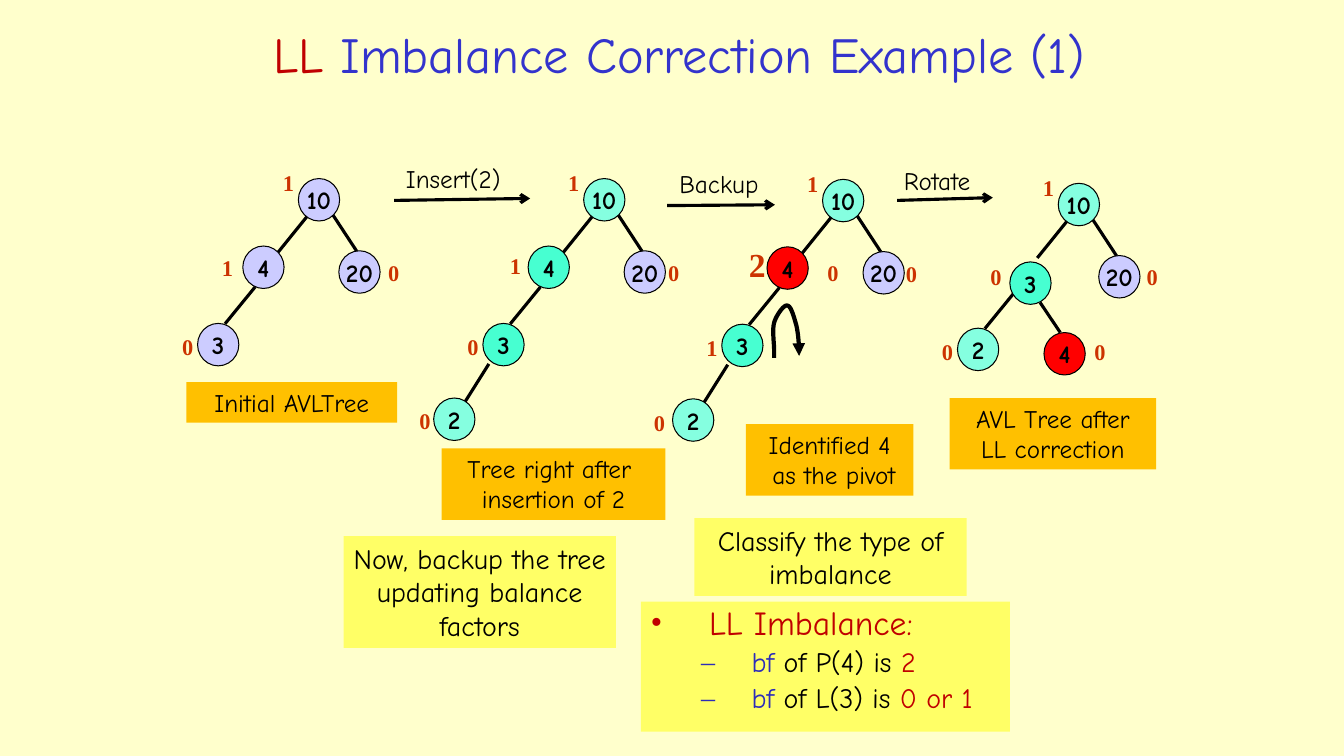
from dataclasses import dataclass

from lxml import etree
from pptx import Presentation
from pptx.dml.color import RGBColor
from pptx.enum import shapes, text
from pptx.oxml import ns
from pptx.util import Cm, Pt

COLORS = {
    "paper": "FFFFCC", "title": "3333CC", "accent": "C00000", "bf": "2D2DB9",
    "black": "000000", "balance": "CC3300", "caption": "FFC000", "note": "FFFF66",
    "plain": "CCCCFF", "light": "85FFE0", "teal": "47FFD1", "pivot": "FF0000",
}
HAND, SERIF = "Comic Neue", "Times New Roman"
NODE_W, NODE_H = 1.04, 1.07
LABEL_W, LABEL_H = 0.79, 0.94

# Node places and edges, in cm from the root's top left corner
PLACES = {
    "root": (0, 0), "left": (-1.4, 1.7), "right": (1.02, 1.82),
    "left2": (-2.54, 3.65), "left3": (-3.78, 5.53),
    "new left": (-1.22, 1.98), "inner": (-0.36, 3.76),
}
LEFT_EDGE = (0.23, 0.94, -0.53, 1.88)
EDGES = {
    "left": LEFT_EDGE, "new left": LEFT_EDGE, "right": (0.86, 0.9, 1.47, 1.83),
    "left2": (-1.09, 2.73, -1.85, 3.66), "left3": (-2.39, 4.67, -3, 5.64),
    "inner": (-0.46, 3, 0.05, 3.76),
}


@dataclass
class Node:
    key: str
    place: str
    fill: str
    balance: str
    label: tuple[float, float]  # from the root, like PLACES
    label_size: int = 16


@dataclass
class Tree:
    x: float
    y: float
    nodes: list[Node]


@dataclass
class Box:
    x: float
    y: float
    w: float
    h: float
    fill: str
    size: int
    lines: list[str]


@dataclass
class Step:
    name: str
    x: float
    y: float
    w: float
    arrow: tuple[float, float, float, float]


ROOT_LABEL, LOW_LABEL = (-0.64, -0.35), (-3.18, 3.77)
TREES = [
    Tree(7.52, 4.5, [
        Node("10", "root", "plain", "1", ROOT_LABEL),
        Node("4", "left", "plain", "1", (-2.18, 1.78)),
        Node("20", "right", "plain", "0", (2.01, 1.9)),
        Node("3", "left2", "plain", "0", LOW_LABEL)]),
    Tree(14.71, 4.5, [
        Node("10", "root", "light", "1", ROOT_LABEL),
        Node("4", "left", "teal", "1", (-2.11, 1.73)),
        Node("20", "right", "plain", "0", (1.88, 1.9)),
        Node("3", "left2", "teal", "0", LOW_LABEL),
        Node("2", "left3", "light", "0", (-4.39, 5.64))]),
    Tree(20.73, 4.52, [
        Node("10", "root", "light", "1", ROOT_LABEL),
        Node("4", "left", "pivot", "2", (-2.11, 1.5), 24),
        Node("20", "right", "plain", "0", (1.85, 1.9)),
        Node("3", "left2", "teal", "1", LOW_LABEL),
        Node("2", "left3", "light", "0", (-4.5, 5.66))]),
    Tree(26.67, 4.62, [
        Node("10", "root", "light", "1", ROOT_LABEL),
        Node("3", "new left", "teal", "0", (-1.96, 1.88)),
        Node("20", "right", "plain", "0", (1.98, 1.88)),
        Node("2", "left2", "light", "0", LOW_LABEL),
        Node("4", "inner", "pivot", "0", (0.66, 3.78))]),
]
BOXES = [
    Box(4.7, 9.63, 5.31, 1.02, "caption", 18, ["Initial AVLTree"]),
    Box(11.13, 11.3, 5.64, 1.8, "caption", 18, ["Tree right after ", "insertion of 2"]),
    Box(18.8, 10.69, 4.22, 1.8, "caption", 18, ["Identified 4", " as the pivot"]),
    Box(23.93, 10.03, 5.21, 1.8, "caption", 18, ["AVL Tree after", "LL correction"]),
    Box(8.66, 13.51, 6.86, 2.82, "note", 20,
        ["Now, backup the tree updating balance factors"]),
    Box(17.5, 13.06, 6.86, 1.96, "note", 20, ["Classify the type of imbalance"]),
]
STEPS = [
    Step("Insert(2)", 9.98, 3.99, 3.33, (9.93, 5.05, 13.36, 5)),
    Step("Backup", 16.87, 4.11, 2.62, (16.81, 5.18, 19.53, 5.16)),
    Step("Rotate", 22.53, 4.04, 2.59, (22.61, 5.05, 25.02, 4.98)),
]


def rgb(name: str) -> RGBColor:
    return RGBColor.from_string(COLORS[name])


def add_run(p, words: str, size: int, color: str = "black", font: str = HAND,
            bold: bool = False) -> None:
    r = p.add_run()
    r.text = words
    r.font.size, r.font.name, r.font.bold = Pt(size), font, bold
    r.font.color.rgb = rgb(color)


def add_filled(s, kind, x: float, y: float, w: float, h: float, fill: str):
    sp = s.shapes.add_shape(kind, Cm(x), Cm(y), Cm(w), Cm(h))
    sp.shadow.inherit = False
    sp.fill.solid()
    sp.fill.fore_color.rgb = rgb(fill)
    sp.line.fill.background()
    return sp


def add_label(s, x: float, y: float, w: float, h: float, words: str, size: int,
              **style) -> None:
    tf = s.shapes.add_textbox(Cm(x), Cm(y), Cm(w), Cm(h)).text_frame
    tf.word_wrap = False
    tf.auto_size = text.MSO_AUTO_SIZE.SHAPE_TO_FIT_TEXT
    add_run(tf.paragraphs[0], words, size, **style)


def add_balance(s, x: float, y: float, value: str, size: int = 16) -> None:
    add_label(s, x, y, LABEL_W * size / 16, LABEL_H * size / 16, value, size,
              color="balance", font=SERIF, bold=True)


def set_stroke(sp, width: float, head: str = "") -> None:
    """Draw a black outline that may end in an arrowhead."""
    sp.line.color.rgb = rgb("black")
    sp.line.width = Pt(width)
    if head:
        etree.SubElement(sp.line._get_or_add_ln(), ns.qn("a:tailEnd"), type=head)


def add_line(s, x1: float, y1: float, x2: float, y2: float, head: str = "") -> None:
    line = s.shapes.add_connector(shapes.MSO_CONNECTOR.STRAIGHT,
                                  Cm(x1), Cm(y1), Cm(x2), Cm(y2))
    set_stroke(line, 2.25, head)
    etree.SubElement(line._element.spPr, ns.qn("a:effectLst"))


def add_tree(s, tree: Tree) -> None:
    for node in tree.nodes:
        if node.place in EDGES:
            x1, y1, x2, y2 = EDGES[node.place]
            add_line(s, tree.x + x1, tree.y + y1, tree.x + x2, tree.y + y2)
    for node in tree.nodes:
        dx, dy = PLACES[node.place]
        sp = add_filled(s, shapes.MSO_SHAPE.OVAL, tree.x + dx, tree.y + dy,
                        NODE_W, NODE_H, node.fill)
        set_stroke(sp, 0.75)
        tf = sp.text_frame
        tf.word_wrap = False
        tf.vertical_anchor = text.MSO_ANCHOR.MIDDLE
        tf.paragraphs[0].alignment = text.PP_ALIGN.CENTER
        add_run(tf.paragraphs[0], node.key, 18, bold=True)
        dx, dy = node.label
        add_balance(s, tree.x + dx, tree.y + dy, node.balance, node.label_size)


def add_box(s, box: Box) -> None:
    sp = add_filled(s, shapes.MSO_SHAPE.RECTANGLE, box.x, box.y, box.w, box.h, box.fill)
    tf = sp.text_frame
    tf.word_wrap = True
    tf.vertical_anchor = text.MSO_ANCHOR.TOP
    for i, words in enumerate(box.lines):
        p = tf.add_paragraph() if i else tf.paragraphs[0]
        p.alignment = text.PP_ALIGN.CENTER
        add_run(p, words, box.size)


def add_rotation_arrow(s) -> None:
    """Bend an arrow over the pivot's subtree along Bezier curves."""
    curves = [
        ((19.51, 8.81), (19.51, 8.66), (19.46, 8.33), (19.51, 8.13)),
        ((19.51, 8.13), (19.56, 7.95), (19.76, 7.67), (19.84, 7.7)),
        ((19.84, 7.7), (19.94, 7.7), (20.02, 8.03), (20.07, 8.2)),
        ((20.07, 8.2), (20.12, 8.41), (20.14, 8.74), (20.14, 8.86)),
    ]
    points = []
    for a, b, c, d in curves:
        for t in (i / 10 for i in range(11)):
            u = 1 - t
            points.append(tuple(
                Cm(u**3 * a[k] + 3 * u * u * t * b[k] + 3 * u * t * t * c[k] + t**3 * d[k])
                for k in (0, 1)))
    points.append((Cm(20.14), Cm(8.97)))
    outline = s.shapes.build_freeform(Cm(19.51), Cm(9.02))
    outline.add_line_segments(points, close=False)
    sp = outline.convert_to_shape()
    sp.shadow.inherit = False
    sp.fill.background()
    set_stroke(sp, 3, "triangle")


def add_imbalance_list(s) -> None:
    tf = add_filled(s, shapes.MSO_SHAPE.RECTANGLE, 16.15, 15.16, 9.3, 3.28,
                    "note").text_frame
    tf.word_wrap = True
    tf.vertical_anchor = text.MSO_ANCHOR.TOP
    items = [
        ("•", 0, 1.47, 1.47, 24, [("LL Imbalance:", "accent")]),
        ("–", 1, 2.54, 1.27, 20, [("bf", "bf"), (" of P(4) is ", "black"), ("2", "accent")]),
        ("–", 1, 2.54, 1.27, 20, [("bf", "bf"), (" of L(3) is ", "black"), ("0 or 1", "accent")]),
    ]
    for i, (bullet, level, margin, hang, size, runs) in enumerate(items):
        p = tf.add_paragraph() if i else tf.paragraphs[0]
        p.alignment, p.level, p.line_spacing = text.PP_ALIGN.LEFT, level, 0.9
        if i:
            p.space_before = Pt(4)
        pPr = p._p.get_or_add_pPr()
        pPr.set("marL", str(Cm(margin)))
        pPr.set("indent", str(-Cm(hang)))
        etree.SubElement(pPr, ns.qn("a:buFont"), typeface=SERIF)
        etree.SubElement(pPr, ns.qn("a:buChar"), char=bullet)
        for words, color in runs:
            add_run(p, words, size, color)


def add_title(s) -> None:
    tf = s.shapes.add_textbox(Cm(5), Cm(0.38), Cm(24.23), Cm(1.93)).text_frame
    tf.word_wrap = True
    tf.vertical_anchor = text.MSO_ANCHOR.MIDDLE
    p = tf.paragraphs[0]
    p.alignment = text.PP_ALIGN.CENTER
    add_run(p, "LL", 36, "accent")
    add_run(p, " Imbalance Correction Example (1)", 36, "title")


def main() -> None:
    prs = Presentation()
    prs.slide_width, prs.slide_height = Cm(33.87), Cm(19.05)
    s = prs.slides.add_slide(prs.slide_layouts[6])
    s.background.fill.solid()
    s.background.fill.fore_color.rgb = rgb("paper")
    add_title(s)
    for box in BOXES:
        add_box(s, box)
    add_imbalance_list(s)
    for tree in TREES:
        add_tree(s, tree)
    add_balance(s, 20.6, 6.4, "0")
    for step in STEPS:
        add_line(s, *step.arrow, head="arrow")
        add_label(s, step.x, step.y, step.w, 1.02, step.name, 18)
    add_rotation_arrow(s)
    prs.save("out.pptx")


if __name__ == "__main__":
    main()
